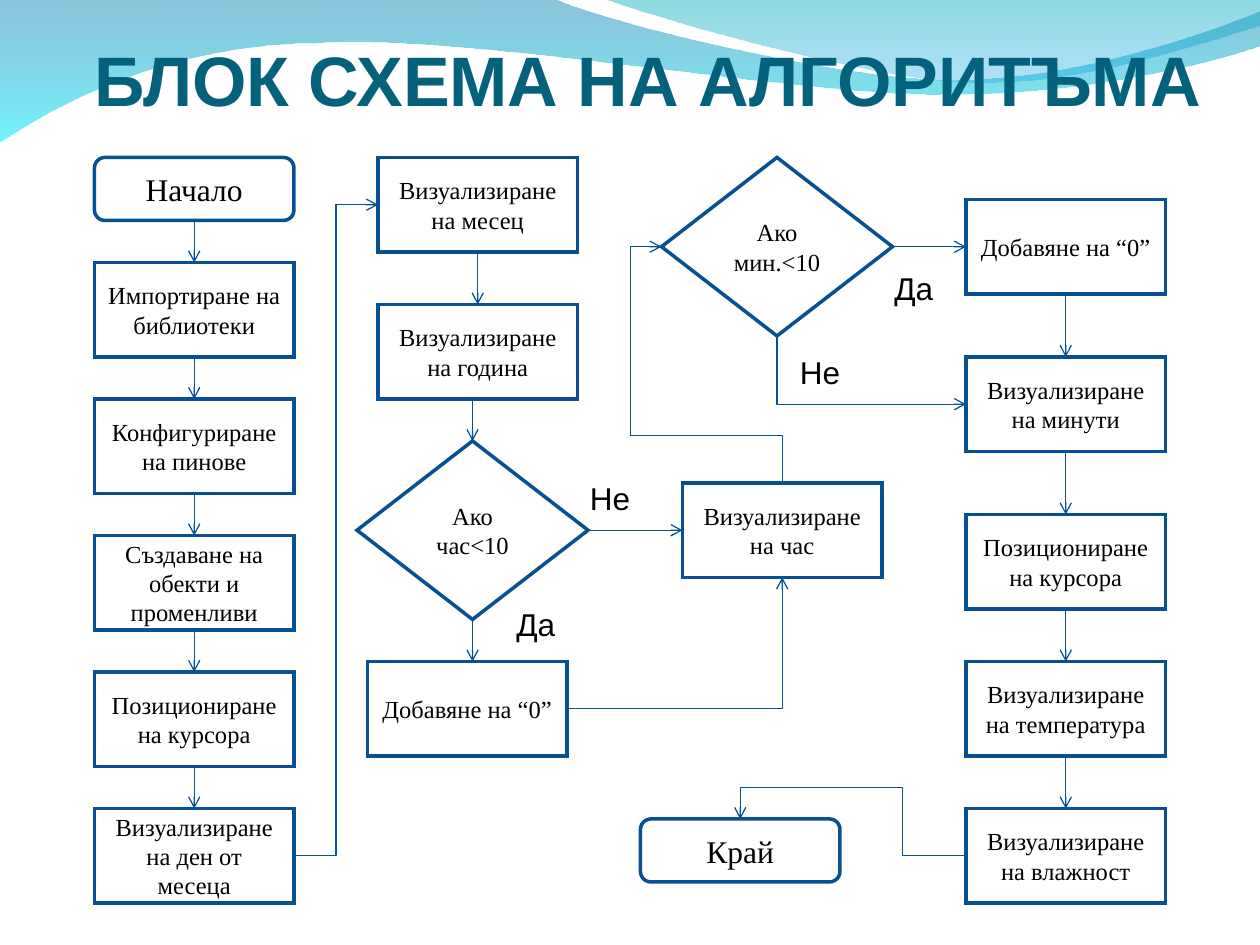
from lxml.etree import SubElement as Sub
from pptx import Presentation
from pptx.dml.color import RGBColor
from pptx.enum.shapes import MSO_CONNECTOR as Conn, MSO_SHAPE as Kind
from pptx.enum.text import MSO_ANCHOR as Anchor, MSO_AUTO_SIZE as Fit, PP_ALIGN as Align
from pptx.oxml.ns import qn
from pptx.util import Pt

PX = 7620
TEAL = RGBColor(0x04, 0x61, 0x7B)
EDGE = RGBColor(0x08, 0x50, 0x91)
LINK = RGBColor(0x06, 0x50, 0x93)
BLACK = RGBColor(0, 0, 0)
SEA = RGBColor(0x00, 0x79, 0xAF)
CYAN = RGBColor(0x00, 0xEB, 0xF8)
MINT = RGBColor(0x00, 0xAD, 0xB6)
SKY = RGBColor(0x00, 0x9B, 0xE5)
WIDE, HIGH = 190, 90
RIM = (220, 170)
TOP, LEFT, BASE, RIGHT = range(4)


def px(*nums):
    return [round(n * PX) for n in nums]


def style(frame, text, size, font, color, bold=False):
    frame.text = text
    run = frame.paragraphs[0].runs[0].font
    run.size, run.name, run.bold = Pt(size), font, bold
    run.color.rgb = color


def wave(slide, box, start, parts, stops):
    x, y = box
    pts = [px(x + a, y + b) for part in [[start], *parts] for a, b in part]
    build = slide.shapes.build_freeform(*pts[0], scale=1.0)
    build.add_line_segments(pts[1:], close=True)
    shape = build.convert_to_shape()
    lines = iter(list(shape._element.spPr.iter(qn("a:lnTo"))))
    for part in parts:
        group = [next(lines) for _ in part]
        if len(group) == 3:
            group[0].tag
            bow = group[0].makeelement(qn("a:cubicBezTo"))
            group[0].addprevious(bow)
            for line in group:
                bow.append(line[0])
                line.getparent().remove(line)
    shape.shadow.inherit = False
    shape.line.fill.background()
    shape.fill.gradient()
    shape.fill.gradient_angle = 270
    for stop, (at, color, _) in zip(shape.fill.gradient_stops, stops):
        stop.position, stop.color.rgb = at, color
    tones = shape._element.spPr.findall(".//" + qn("a:gs") + "/" + qn("a:srgbClr"))
    for tone, (_, _, alpha) in zip(tones, stops):
        Sub(tone, qn("a:alpha"), val=str(alpha * 1000))


def waves(slide, box):
    wave(slide, box, (0, -1), [
        [(528, -1)],
        [(571, 20), (797, 76), (910, 76)],
        [(1024, 76), (1150, 31), (1200, 11)],
        [(1201, 43)],
        [(1180, 53), (1044, 91), (895, 90)],
        [(746, 90), (458, 34), (308, 41)],
        [(155, 42), (55, 100), (-1, 136)],
    ], [(0, SEA, 45), (1, CYAN, 55)])
    wave(slide, box, (575, -1), [
        [(611, 13), (818, 74), (923, 78)],
        [(1027, 83), (1153, 38), (1200, 25)],
        [(1200, 0)],
    ], [(0, MINT, 45), (1, SKY, 30)])


def title(slide, box):
    frame = slide.shapes.add_textbox(*px(*box)).text_frame
    frame.word_wrap = True
    frame.vertical_anchor = Anchor.BOTTOM
    frame.margin_left = frame.margin_right = frame.margin_bottom = 0
    style(frame, "БЛОК СХЕМА НА АЛГОРИТЪМА", 40, "Arial", TEAL, True)


def node(slide, x, y, text, kind=Kind.RECTANGLE, size=(WIDE, HIGH), pt=14):
    shape = slide.shapes.add_shape(kind, *px(x, y, *size))
    shape.shadow.inherit = False
    shape.fill.background()
    shape.line.color.rgb = EDGE
    shape.line.width = Pt(2)
    Sub(shape.line._get_or_add_ln(), qn("a:miter"), lim="800000")
    frame = shape.text_frame
    frame.word_wrap = True
    frame.vertical_anchor = Anchor.MIDDLE
    style(frame, text, pt, "Times New Roman", BLACK)
    frame.paragraphs[0].alignment = Align.CENTER
    return shape


def pill(slide, x, y, text):
    return node(slide, x, y, text, Kind.ROUNDED_RECTANGLE, (WIDE, 60), 18)


def test(slide, x, y, text):
    return node(slide, x, y, text, Kind.DIAMOND, RIM)


def label(slide, x, y, text):
    frame = slide.shapes.add_textbox(*px(x, y, 70, 48)).text_frame
    frame.word_wrap = True
    frame.auto_size = Fit.SHAPE_TO_FIT_TEXT
    style(frame, text, 18, "Arial", BLACK)


def arrow(slide, kind, ends):
    line = slide.shapes.add_connector(kind, *ends)
    line.line.color.rgb = LINK
    line.line.width = Pt(0.75)
    Sub(line.line._get_or_add_ln(), qn("a:tailEnd"), type="arrow")
    Sub(line._element.spPr, qn("a:effectLst"))
    return line


def join(slide, a, i, b, j, kind=Conn.STRAIGHT):
    line = arrow(slide, kind, (0, 0, 0, 0))
    line.begin_connect(a, i)
    line.end_connect(b, j)
    return line


def bend(slide, a, i, b, j, parts, turn=0, flip="", adj=()):
    line = join(slide, a, i, b, j, Conn.ELBOW)
    if turn == 270:
        x, y = line.left + line.width // 2, line.top + line.height // 2
        line.width, line.height = line.height, line.width
        line.left, line.top = x - line.width // 2, y - line.height // 2
    props = line._element.spPr
    form = props.find(qn("a:xfrm"))
    for name in ("flipH", "flipV"):
        form.set(name, str(int(name == flip)))
    form.set("rot", str(turn * 60000))
    shape = props.find(qn("a:prstGeom"))
    shape.set("prst", f"bentConnector{parts}")
    guides = shape.find(qn("a:avLst"))
    for n, value in enumerate(adj, 1):
        Sub(guides, qn("a:gd"), name=f"adj{n}", fmla=f"val {round(value * 100000)}")


def chain(slide, nodes):
    for a, b in zip(nodes, nodes[1:]):
        join(slide, a, BASE, b, TOP)


def setup(slide, box):
    x, y = box
    steps = ["Импортиране на библиотеки", "Конфигуриране на пинове",
             "Създаване на обекти и променливи", "Позициониране на курсора",
             "Визуализиране на ден от месеца"]
    nodes = [pill(slide, x, y, "Начало")]
    nodes += [node(slide, x, y + 100 + 130 * n, t) for n, t in enumerate(steps)]
    chain(slide, nodes)
    return nodes[-1]


def hours(slide, box):
    x, y = box
    month = node(slide, x + 20, y, "Визуализиране на месец")
    year = node(slide, x + 20, y + 140, "Визуализиране на година")
    check = test(slide, x, y + 270, "Ако час<10")
    zero = node(slide, x + 10, y + 480, "Добавяне на “0”")
    show = node(slide, x + 310, y + 310, "Визуализиране на час")
    join(slide, month, BASE, year, TOP)
    mid = x + 110
    arrow(slide, Conn.STRAIGHT, px(mid, y + 230, mid, y + 270)).end_connect(check, TOP)
    arrow(slide, Conn.STRAIGHT, px(mid, y + 440, mid, y + 480)).begin_connect(check, BASE)
    join(slide, check, RIGHT, show, LEFT)
    bend(slide, zero, RIGHT, show, BASE, 2, flip="flipV")
    label(slide, x + 140, y + 420, "Да")
    label(slide, x + 210, y + 300, "Не")
    return month, show


def minutes(slide, box):
    x, y = box
    check = test(slide, x, y, "Ако мин.<10")
    steps = [(40, "Добавяне на “0”"), (190, "Визуализиране на минути"),
             (340, "Позициониране на курсора"), (480, "Визуализиране на температура"),
             (620, "Визуализиране на влажност")]
    nodes = [node(slide, x + 290, y + dy, t) for dy, t in steps]
    end = pill(slide, x - 20, y + 630, "Край")
    chain(slide, nodes)
    join(slide, check, RIGHT, nodes[0], LEFT)
    bend(slide, check, BASE, nodes[1], LEFT, 2, 270, "flipH")
    bend(slide, nodes[-1], LEFT, end, TOP, 4, 180, adj=(0.28, 1.86))
    label(slide, x + 210, y + 100, "Да")
    label(slide, x + 120, y + 180, "Не")
    return check


def main():
    deck = Presentation()
    deck.slide_width, deck.slide_height = px(1200, 900)
    slide = deck.slides.add_slide(deck.slide_layouts[6])
    waves(slide, (0, 0))
    title(slide, (90, 15, 1060, 100))
    day = setup(slide, (90, 150))
    month, hour = hours(slide, (340, 150))
    check = minutes(slide, (630, 150))
    bend(slide, day, RIGHT, month, LEFT, 3, flip="flipV", adj=(0.5,))
    bend(slide, hour, TOP, check, LEFT, 4, 270, "flipV", (0.2, 1.26))
    deck.save("out.pptx")


if __name__ == "__main__":
    main()
